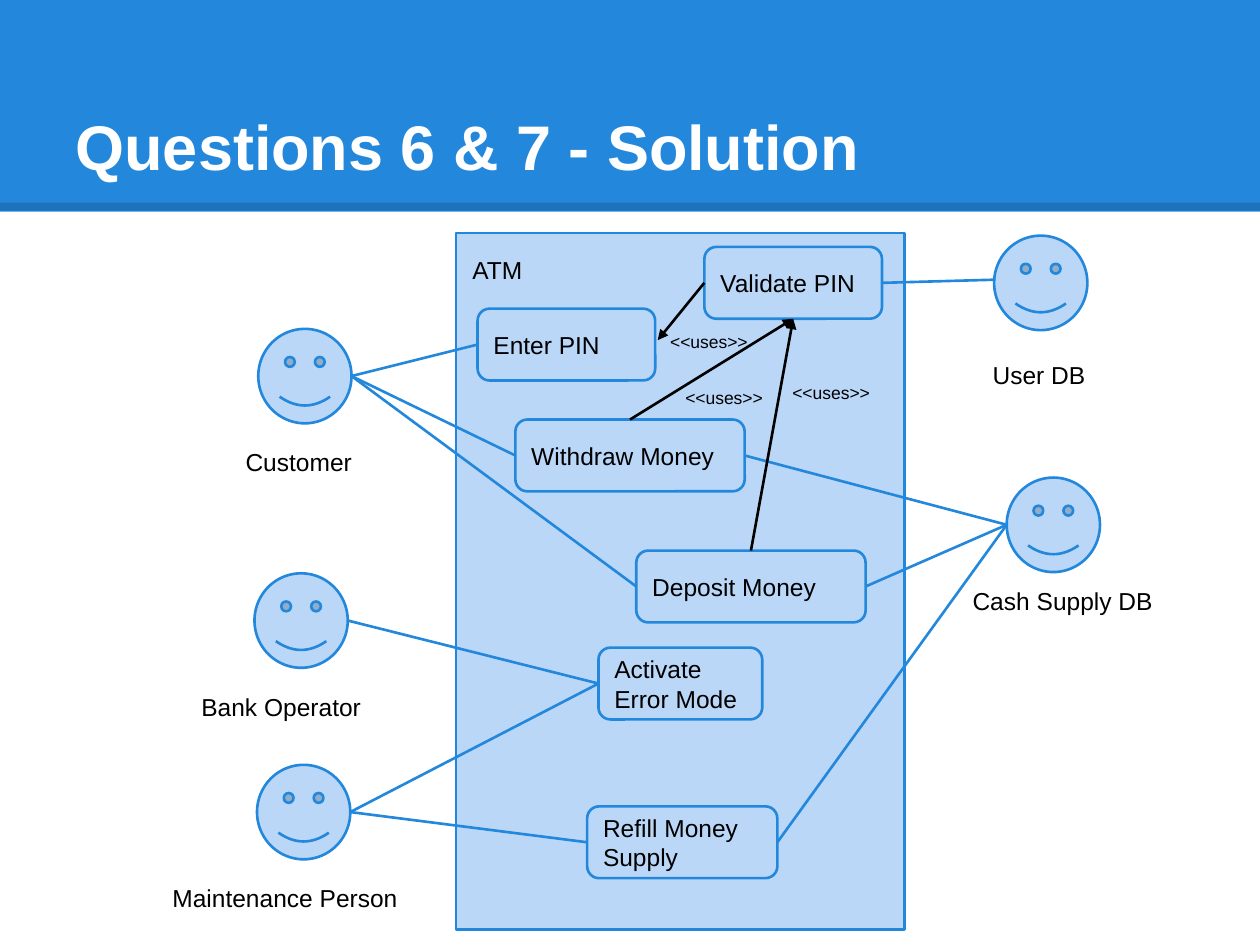
from dataclasses import dataclass
from lxml import etree
from pptx import Presentation
from pptx.dml.color import RGBColor
from pptx.enum.shapes import MSO_CONNECTOR as CONN, MSO_SHAPE as SHAPE
from pptx.enum.text import MSO_ANCHOR as ANCHOR, PP_ALIGN as ALIGN
from pptx.oxml.ns import qn
from pptx.util import Inches, Pt


@dataclass
class Theme:
    blue = RGBColor.from_string("2388DB")
    pale = RGBColor.from_string("BBD7F8")
    black = RGBColor.from_string("000000")
    white = RGBColor.from_string("FFFFFF")
    font = "Arial"
    title = Pt(36)
    body = Pt(14)
    small = Pt(10)
    line = Pt(1.5)
    rule = Pt(4.5)


theme = Theme()
TOP, LEFT, BOTTOM, RIGHT = range(4)


def set_text(sp, text, size, color, anchor, bold=False):
    tf = sp.text_frame
    tf.text = text
    tf.word_wrap = True
    tf.vertical_anchor = anchor
    tf.margin_left = tf.margin_right = Inches(0.1)
    tf.margin_top = tf.margin_bottom = Inches(0.1)
    p = tf.paragraphs[0]
    p.alignment = ALIGN.LEFT
    font = p.runs[0].font
    font.name, font.size, font.bold = theme.font, size, bold
    font.color.rgb = color


def add_line(x1, y1, x2, y2, color, width=theme.line):
    line = s.shapes.add_connector(CONN.STRAIGHT, Inches(x1), Inches(y1), Inches(x2), Inches(y2))
    line.line.color.rgb = color
    line.line.width = width
    etree.SubElement(line.element.spPr, qn("a:effectLst"))
    return line


prs = Presentation()
prs.slide_width, prs.slide_height = Inches(10), Inches(7.5)
s = prs.slides.add_slide(prs.slide_layouts[5])

band = s.shapes.add_shape(SHAPE.RECTANGLE, 0, 0, Inches(10), Inches(1.68))
band.shadow.inherit = False
band.fill.solid()
band.fill.fore_color.rgb = theme.blue
band.line.fill.background()

rule = add_line(0, 1.64, 10, 1.64, theme.black, theme.rule)
rule_color = next(rule.element.iter(qn("a:srgbClr")))
etree.SubElement(rule_color, qn("a:alpha")).set("val", "15000")

title = s.shapes.title
title.left, title.top, title.width, title.height = map(Inches, (0.5, 0.3, 9, 1.25))
set_text(title, "Questions 6 & 7 - Solution", theme.title, theme.white, ANCHOR.BOTTOM, True)
title.element.getparent().append(title.element)

FACE_W, FACE_H, BOX_H = 0.74, 0.75, 0.57
faces = {
    "Customer": (2.05, 2.61),
    "Bank Operator": (2.02, 4.55),
    "Maintenance Person": (2.04, 6.07),
    "Cash Supply DB": (7.99, 3.79),
    "User DB": (7.89, 1.87),
}
cases = {
    "Activate Error Mode": (4.75, 5.14, 1.3),
    "Refill Money Supply": (4.66, 6.4, 1.51),
    "Validate PIN": (5.59, 1.96, 1.41),
    "Withdraw Money": (4.09, 3.33, 1.82),
    "Deposit Money": (5.05, 4.37, 1.82),
    "Enter PIN": (3.79, 2.45, 1.41),
}
outlines = [(SHAPE.RECTANGLE, 3.62, 1.85, 3.56, 5.53, "")]
outlines += [(SHAPE.SMILEY_FACE, x, y, FACE_W, FACE_H, "") for x, y in faces.values()]
outlines += [(SHAPE.ROUNDED_RECTANGLE, x, y, w, BOX_H, name) for name, (x, y, w) in cases.items()]

boxes = {}
for kind, x, y, w, h, name in outlines:
    sp = s.shapes.add_shape(kind, Inches(x), Inches(y), Inches(w), Inches(h))
    sp.shadow.inherit = False
    sp.fill.solid()
    sp.fill.fore_color.rgb = theme.pale
    sp.line.color.rgb = theme.blue
    sp.line.width = theme.line
    if name:
        set_text(sp, name, theme.body, theme.black, ANCHOR.MIDDLE)
        boxes[name] = sp

links = [
    ("Bank Operator", "Activate Error Mode", LEFT),
    ("Maintenance Person", "Activate Error Mode", LEFT),
    ("Maintenance Person", "Refill Money Supply", LEFT),
    ("Customer", "Enter PIN", LEFT),
    ("Customer", "Withdraw Money", LEFT),
    ("Customer", "Deposit Money", LEFT),
    ("Cash Supply DB", "Withdraw Money", RIGHT),
    ("Cash Supply DB", "Deposit Money", RIGHT),
    ("Cash Supply DB", "Refill Money Supply", RIGHT),
]
for actor, case, side in links:
    x, y = faces[actor]
    x += FACE_W if side == LEFT else 0
    y += FACE_H / 2
    add_line(x, y, x, y, theme.blue).end_connect(boxes[case], side)
add_line(7.9, 2.22, 7.9, 2.22, theme.blue).end_connect(boxes["Validate PIN"], RIGHT)

uses = [
    ("Withdraw Money", TOP, 6.29, 2.54),
    ("Deposit Money", TOP, 6.29, 2.54),
    ("Validate PIN", LEFT, 5.22, 2.7),
]
for case, side, x, y in uses:
    arrow = add_line(x, y, x, y, theme.black)
    arrow.begin_connect(boxes[case], side)
    if side == TOP:
        arrow.end_connect(boxes["Validate PIN"], BOTTOM)
    etree.SubElement(arrow.line._get_or_add_ln(), qn("a:tailEnd")).set("type", "triangle")

labels = [
    ("Customer", 1.85, 3.45, 1.45, 0.5, theme.body),
    ("Bank Operator", 1.5, 5.39, 1.74, 0.5, theme.body),
    ("Maintenance Person", 1.27, 6.91, 2.2, 0.5, theme.body),
    ("Cash Supply DB", 7.62, 4.55, 1.88, 0.5, theme.body),
    ("User DB", 7.78, 2.76, 0.97, 0.32, theme.body),
    ("ATM", 3.65, 1.92, 0.93, 0.22, theme.body),
    ("<<uses>>", 6.19, 2.95, 1.04, 0.33, theme.small),
    ("<<uses>>", 5.34, 2.99, 0.85, 0.33, theme.small),
    ("<<uses>>", 5.22, 2.54, 0.85, 0.33, theme.small),
]
for text, x, y, w, h, size in labels:
    tb = s.shapes.add_textbox(Inches(x), Inches(y), Inches(w), Inches(h))
    set_text(tb, text, size, theme.black, ANCHOR.TOP)

prs.save("out.pptx")
